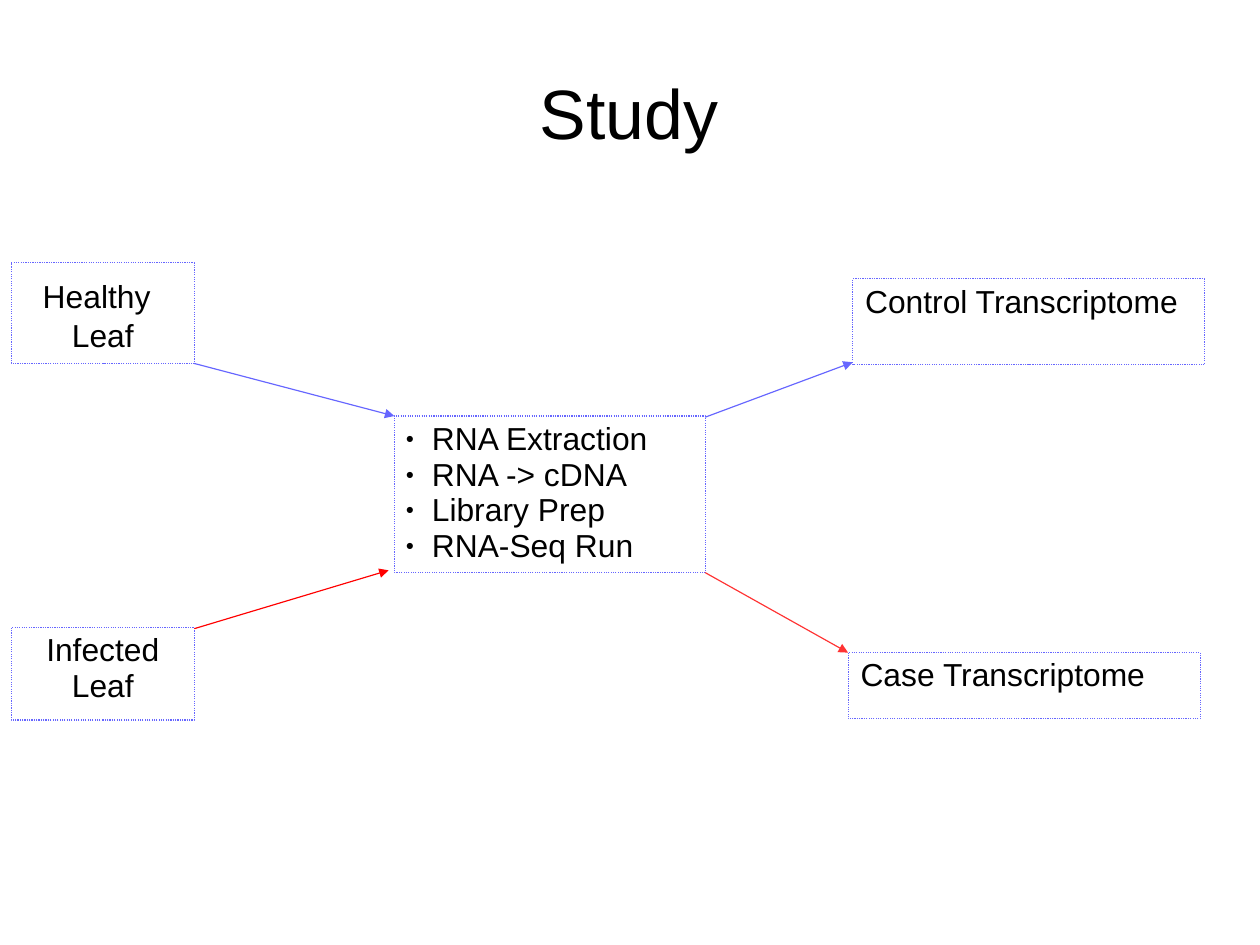
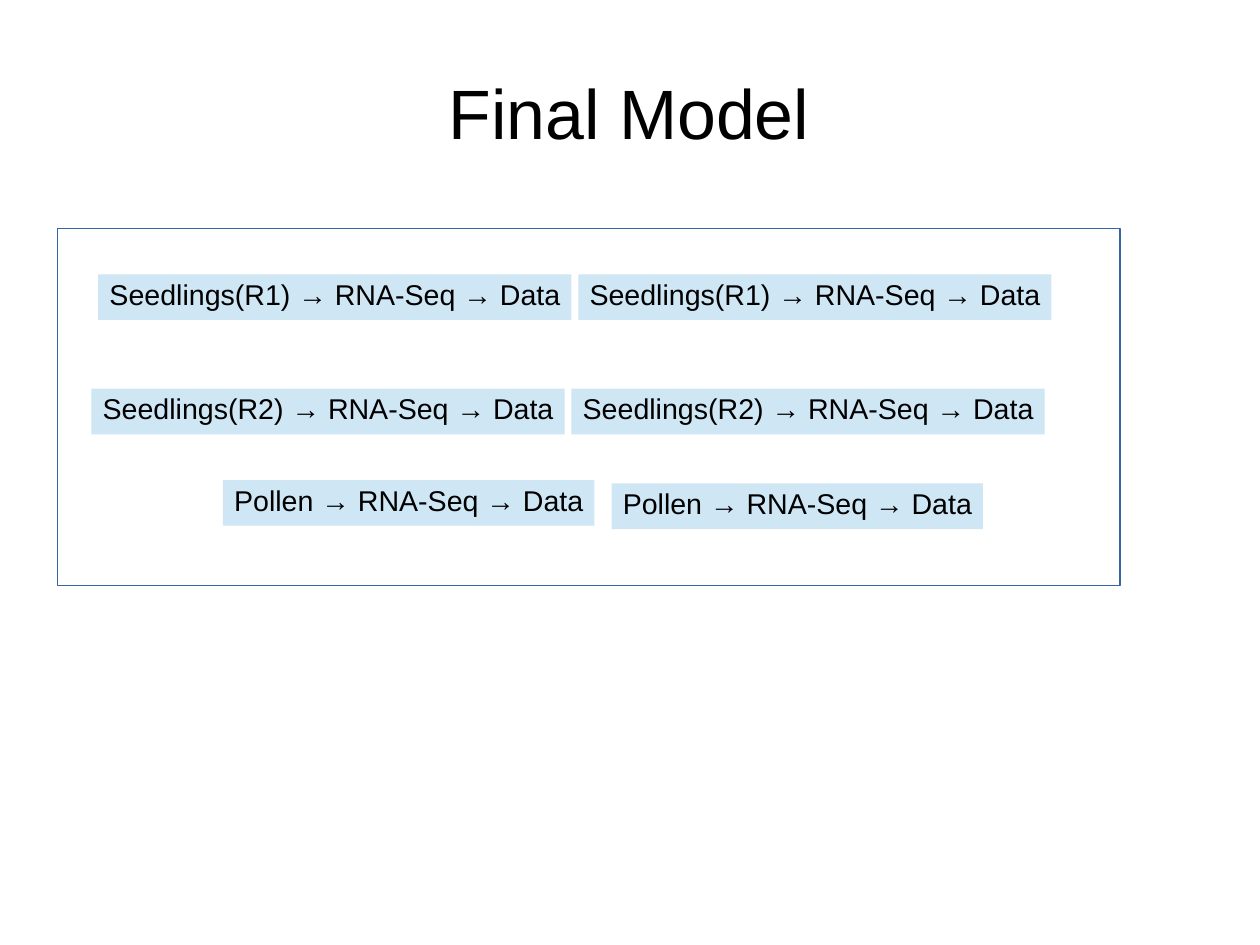
from lxml import etree
from pptx import Presentation
from pptx.dml.color import RGBColor
from pptx.enum import dml, shapes, text
from pptx.oxml import ns
from pptx.util import Inches, Pt

FONT = "Arial"
BLACK, BLUE, RED, LIGHT_RED = "000000", "6666FF", "FF0000", "FF3333"
FRAME_BLUE, PALE_BLUE = "3465A4", "CFE7F5"
LEFT, CENTER = text.PP_ALIGN.LEFT, text.PP_ALIGN.CENTER
TITLE_BOX = (0.55, 0.33, 9.91, 1.37)
CM_PER_INCH = 2.54


def color(value):
    return RGBColor.from_string(value)


def add_xml(parent, tag, **attributes):
    return etree.SubElement(parent, ns.qn(tag), attributes)


def set_hanging(para, left):
    props = para._p.get_or_add_pPr()
    props.set("marL", str(Inches(left)))
    props.set("indent", str(Inches(-0.23)))


def add_bullet(para):
    props = para._p.get_or_add_pPr()
    add_xml(add_xml(props, "a:buClr"), "a:srgbClr", val=BLACK)
    add_xml(props, "a:buSzPct", val="45000")
    add_xml(props, "a:buFont", typeface=FONT)
    add_xml(props, "a:buChar", char="●")


def write(box, lines, size=20, align=LEFT, anchor=text.MSO_ANCHOR.TOP,
          margins=(0.1, 0.05), wrap=True, hanging=None, bullets=False):
    """Fill a box; a line is a string or a list of (string, size) spans."""
    frame = box.text_frame
    frame.word_wrap = wrap
    frame.vertical_anchor = anchor
    frame.margin_left = frame.margin_right = Inches(margins[0])
    frame.margin_top = frame.margin_bottom = Inches(margins[1])
    for index, line in enumerate(lines):
        para = frame.add_paragraph() if index else frame.paragraphs[0]
        para.alignment = align
        para.line_spacing = 0.94
        if hanging:
            set_hanging(para, hanging)
        if bullets:
            add_bullet(para)
        for words, points in [(line, size)] if isinstance(line, str) else line:
            span = para.add_run()
            span.text = words
            span.font.name = FONT
            span.font.size = Pt(points)
            span.font.color.rgb = color(BLACK)


def add_box(page, area, fill=None, line=None, dash=None):
    box = page.shapes.add_shape(shapes.MSO_SHAPE.RECTANGLE, *map(Inches, area))
    box.shadow.inherit = False
    if fill:
        box.fill.solid()
        box.fill.fore_color.rgb = color(fill)
    else:
        box.fill.background()
    if line:
        box.line.color.rgb = color(line)
        box.line.width = Pt(0.75)
        if dash:
            box.line.dash_style = dash
    else:
        box.line.fill.background()
    return box


def add_arrow(page, start, end, line):
    arrow = page.shapes.add_connector(
        shapes.MSO_CONNECTOR.STRAIGHT, *map(Inches, start + end))
    arrow.line.color.rgb = color(line)
    arrow.line.width = Pt(0.75)
    add_xml(arrow.line._get_or_add_ln(), "a:tailEnd", type="triangle")
    add_xml(arrow._element.spPr, "a:effectLst")


def add_page(deck, title):
    page = deck.slides.add_slide(deck.slide_layouts[6])
    box = page.shapes.add_textbox(*map(Inches, TITLE_BOX))
    write(box, [title], size=44, align=CENTER,
          anchor=text.MSO_ANCHOR.MIDDLE, margins=(0, 0))
    return page


def add_step(page, area, lines, **style):
    box = add_box(page, area, line=BLUE, dash=dml.MSO_LINE.ROUND_DOT)
    write(box, lines, **style)


def build_study(deck):
    page = add_page(deck, "Study")
    # Samples
    add_step(page, (0.1, 2.3, 1.6, 0.88),
             [[("Healthy", 20), (" ", 28)], "Leaf"], align=CENTER)
    add_step(page, (0.1, 5.49, 1.6, 0.81), ["Infected Leaf"], align=CENTER)
    # Laboratory steps
    add_step(page, (3.45, 3.64, 2.72, 1.37),
             ["RNA Extraction", "RNA -> cDNA", "Library Prep", "RNA-Seq Run"],
             hanging=0.23, bullets=True)
    # Results
    add_step(page, (7.46, 2.44, 3.08, 0.75), ["Control Transcriptome"],
             hanging=0.24)
    add_step(page, (7.42, 5.71, 3.08, 0.58), ["Case Transcriptome"],
             hanging=0.24)
    # Arrows between box corners
    for start, end, line in (
            ((1.7, 3.18), (3.45, 3.64), BLUE),
            ((1.7, 5.5), (3.4, 4.99), RED),
            ((6.17, 3.65), (7.46, 3.17), BLUE),
            ((6.17, 5.01), (7.42, 5.71), LIGHT_RED)):
        add_arrow(page, start, end, line)


def add_samples(page, area):
    left, top = area[:2]
    add_box(page, area, line=FRAME_BLUE)
    # Each row: sample, label width, offsets of its two labels in the frame
    for sample, width, offsets in (
            ("Seedlings(R1)", 4.14, ((0.36, 0.4), (4.56, 0.4))),
            ("Seedlings(R2)", 4.14, ((0.3, 1.4), (4.5, 1.4))),
            ("Pollen", 3.25, ((1.45, 2.2), (4.85, 2.23)))):
        for across, down in offsets:
            label = add_box(page, (left + across, top + down, width, 0.4),
                            fill=PALE_BLUE)
            write(label, [f"{sample} → RNA-Seq → Data"], size=18, wrap=False)


def build_model(deck):
    page = add_page(deck, "Final Model")
    add_samples(page, (0.5, 2, 9.3, 3.12))


def main():
    deck = Presentation()
    # Page of 28 by 21 cm
    deck.slide_width = Inches(28 / CM_PER_INCH)
    deck.slide_height = Inches(21 / CM_PER_INCH)
    build_study(deck)
    build_model(deck)
    deck.save("out.pptx")


if __name__ == "__main__":
    main()
